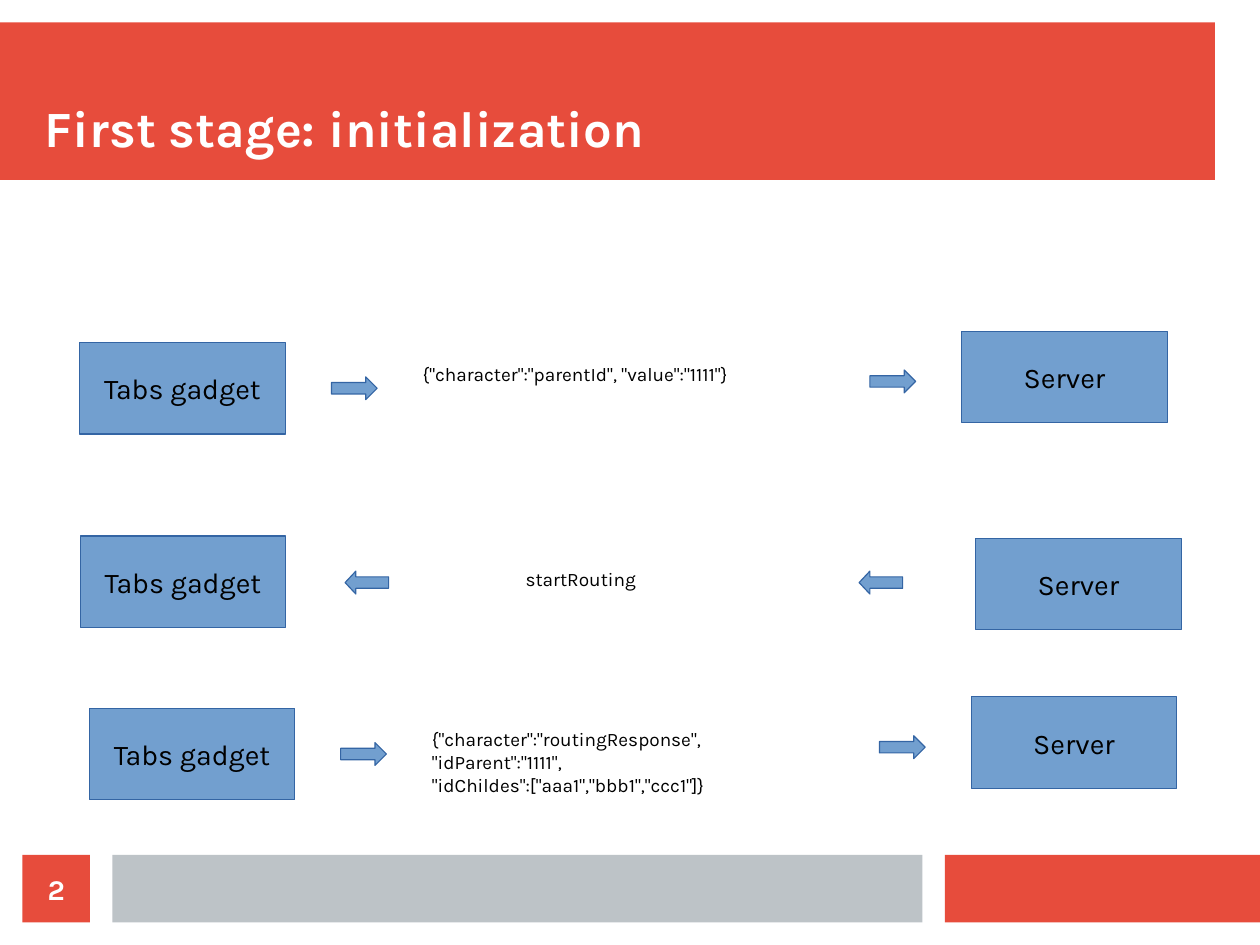
from dataclasses import dataclass

from pptx import Presentation
from pptx.dml.color import RGBColor
from pptx.enum.shapes import MSO_SHAPE
from pptx.enum.text import MSO_ANCHOR, MSO_AUTO_SIZE, PP_ALIGN
from pptx.util import Pt


@dataclass(frozen=True)
class Theme:
    font: str = "Karla"
    red: RGBColor = RGBColor(0xE7, 0x4C, 0x3C)
    gray: RGBColor = RGBColor(0xBD, 0xC3, 0xC7)
    blue: RGBColor = RGBColor(0x72, 0x9F, 0xCF)
    outline: RGBColor = RGBColor(0x34, 0x65, 0xA4)
    black: RGBColor = RGBColor(0, 0, 0)
    white: RGBColor = RGBColor(0xFF, 0xFF, 0xFF)
    title_size: int = 32
    label_size: int = 18
    message_size: int = 12


theme = Theme()

deck = Presentation()
deck.slide_width, deck.slide_height = Pt(793.7), Pt(595.28)
page = deck.slides.add_slide(deck.slide_layouts[5])


def add_block(kind, left, top, width, height, fill, outline=None):
    block = page.shapes.add_shape(kind, Pt(left), Pt(top), Pt(width), Pt(height))
    block.shadow.inherit = False
    block.fill.solid()
    block.fill.fore_color.rgb = fill
    if outline is None:
        block.line.fill.background()
    else:
        block.line.color.rgb = outline
        block.line.width = Pt(0)
    return block


def write(frame, lines, size, color, align, bold=False):
    frame.text = "\n".join(lines)
    for para in frame.paragraphs:
        para.alignment = align
        para.font.name = theme.font
        para.font.size = Pt(size)
        para.font.bold = bold
        para.font.color.rgb = color


# Header and footer bars
for left, top, width, height, fill in [
    (0, 14.17, 765.35, 99.21, theme.red),
    (595.28, 538.58, 198.43, 42.52, theme.red),
    (70.87, 538.58, 510.24, 42.52, theme.gray),
]:
    add_block(MSO_SHAPE.RECTANGLE, left, top, width, height, fill)

# Title, brought in front of the header bar
title = page.shapes.title
title.element.getparent().append(title.element)
title.left, title.top, title.width, title.height = Pt(28.35), Pt(28.35), Pt(737), Pt(70.87)
frame = title.text_frame
frame.margin_left = frame.margin_top = frame.margin_right = frame.margin_bottom = 0
frame.vertical_anchor = MSO_ANCHOR.BOTTOM
frame.auto_size = MSO_AUTO_SIZE.NONE
write(frame, ["First stage: initialization"], theme.title_size, theme.white, PP_ALIGN.LEFT, bold=True)

# Exchanges: arrow kind, width and head; gadget, server, two arrows; message place and lines
exchanges = [
    (MSO_SHAPE.RIGHT_ARROW, 28.8, 0.5, (50.2, 215.8), (605.8, 208.6), [(208.8, 237.4), (548, 233.1)],
     (259.2, 224.6, 34.6), ['{"character":"parentId", "value":"1111"}']),
    (MSO_SHAPE.LEFT_ARROW, 27.4, 0.47, (50.5, 337.7), (614.6, 339), [(217.4, 359.8), (541.2, 359.8)],
     (324, 354, 34.6), ["startRouting"]),
    (MSO_SHAPE.RIGHT_ARROW, 28.8, 0.5, (56.2, 446.2), (611.8, 439), [(214.6, 467.8), (554, 463.5)],
     (265, 454.8, 56.2),
     ['{"character":"routingResponse",', '"idParent":"1111",', '"idChildes":["aaa1","bbb1","ccc1"]}']),
]
for arrow_kind, arrow_width, head, gadget, server, arrows, place, lines in exchanges:
    for name, (left, top) in [("Tabs gadget", gadget), ("Server", server)]:
        box = add_block(MSO_SHAPE.RECTANGLE, left, top, 129.6, 57.6, theme.blue, theme.outline)
        box.text_frame.word_wrap = False
        box.text_frame.vertical_anchor = MSO_ANCHOR.MIDDLE
        write(box.text_frame, [name], theme.label_size, theme.black, PP_ALIGN.CENTER)

    for left, top in arrows:
        arrow = add_block(arrow_kind, left, top, arrow_width, 14.4, theme.blue, theme.outline)
        arrow.adjustments[1] = head

    left, top, height = place
    message = page.shapes.add_textbox(Pt(left), Pt(top), Pt(273.6), Pt(height))
    message.text_frame.word_wrap = True
    message.text_frame.auto_size = MSO_AUTO_SIZE.SHAPE_TO_FIT_TEXT
    write(message.text_frame, lines, theme.message_size, theme.black, PP_ALIGN.LEFT)

# Page number
number = add_block(MSO_SHAPE.RECTANGLE, 14.17, 538.58, 42.52, 42.52, theme.red)
frame = number.text_frame
frame.margin_left = frame.margin_top = frame.margin_right = frame.margin_bottom = 0
frame.vertical_anchor = MSO_ANCHOR.MIDDLE
write(frame, ["2"], theme.label_size, theme.white, PP_ALIGN.CENTER, bold=True)

deck.save("out.pptx")
